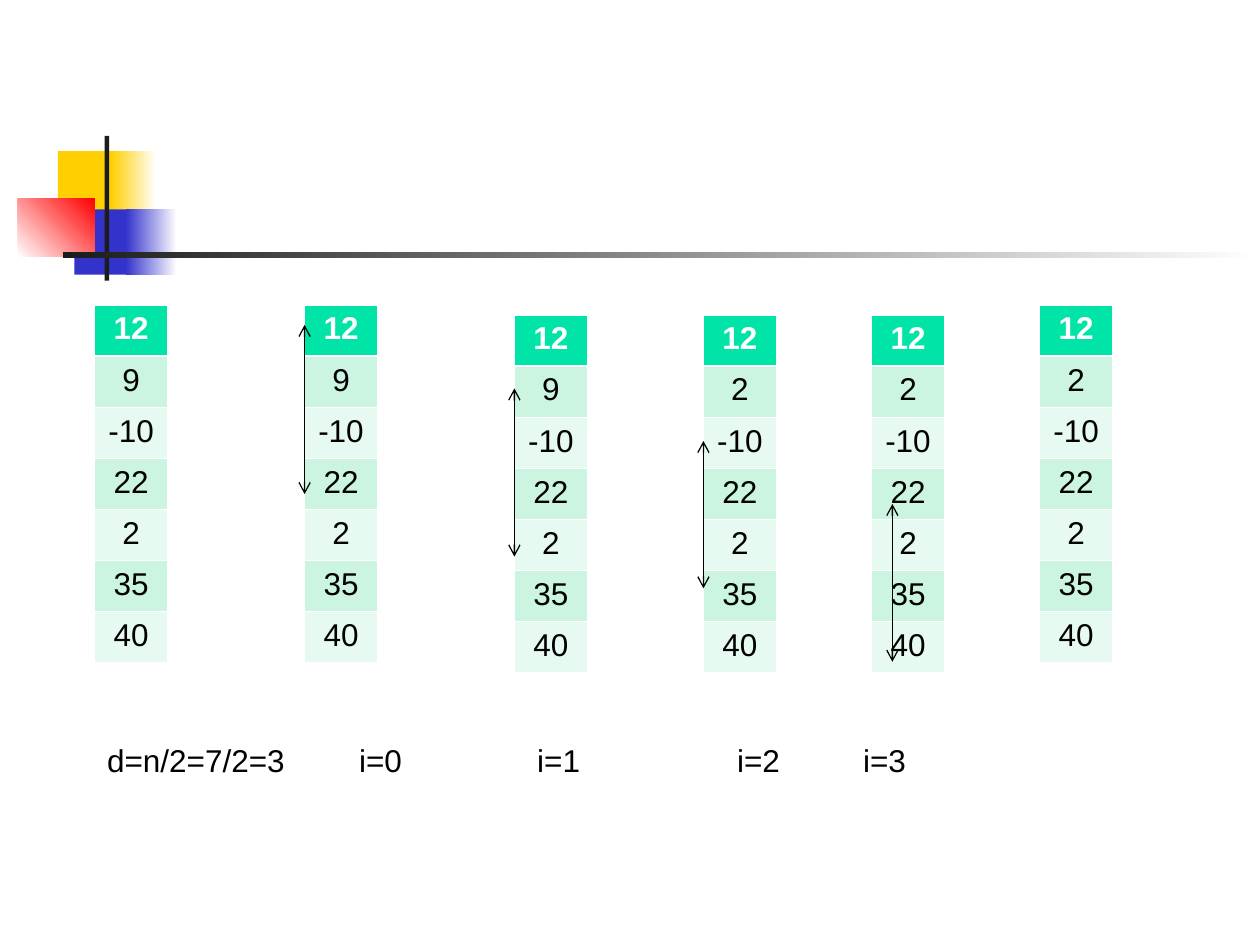
"""Build the slide that traces one pass of a Shell sort with gap three."""
from pptx import Presentation
from pptx import util as u
from pptx.dml.color import RGBColor
from pptx.enum import shapes, text
from pptx.oxml.ns import qn
from lxml import etree

FONT = "Arial"
BLACK, WHITE, DARK = "000000", "FFFFFF", "1C1C1C"
YELLOW, BLUE, RED = "FFCF01", "3333CC", "FF0000"
HEADER, BANDS = "00E4A8", ("CBF5E1", "E7FAF1")
BEFORE_SWAP = ("12", "9", "-10", "22", "2", "35", "40")
AFTER_SWAP = ("12", "2", "-10", "22", "2", "35", "40")
HIGH, LOW = 6.15, 6.35
COLUMN_WIDTH, ROW_HEIGHT = 1.47, 1.03

DECORATION = (
    (1.17, 3.05, 1.22, 1.32, (YELLOW,), 0),
    (2.24, 3.05, 0.91, 1.32, (YELLOW, WHITE), 0),
    (1.5, 4.22, 1.17, 1.32, (BLUE,), 0),
    (2.54, 4.22, 1.02, 1.32, (BLUE, WHITE), 0),
    (0.36, 4.01, 1.55, 1.17, (WHITE, RED), 45),
    (2.11, 2.74, 0.09, 2.92, (DARK,), 0),
    (1.27, 5.08, 24.13, 0.13, (DARK, WHITE), 0),
)
ARRAYS = (
    (1.91, HIGH, BEFORE_SWAP),
    (6.14, HIGH, BEFORE_SWAP),
    (10.37, LOW, BEFORE_SWAP),
    (14.18, LOW, AFTER_SWAP),
    (17.57, LOW, AFTER_SWAP),
    (20.96, HIGH, AFTER_SWAP),
)
COMPARISONS = (
    (6.14, 6.55, 9.96),
    (10.37, 7.83, 11.22),
    (14.18, 8.89, 11.86),
    (17.99, 10.16, 13.34),
)
STEP_LABELS = "d=n/2=7/2=3\ti=0\ti=1\ti=2\ti=3"
STEP_TABS = (5.08, 8.67, 12.7, 15.24)


def rgb(value):
    """Return the colour for a hex string."""
    return RGBColor.from_string(value)


def style_text(paragraph, colour, bold=False):
    """Apply the common font to a paragraph."""
    font_format = {"name": FONT, "size": u.Pt(18), "bold": bold}
    for run in paragraph.runs:
        for name, value in font_format.items():
            setattr(run.font, name, value)
        run.font.color.rgb = rgb(colour)


def add_block(slide, left, top, width, height, colours, angle):
    """Add a borderless rectangle with a plain or gradient fill."""
    shape = slide.shapes.add_shape(
        shapes.MSO_SHAPE.RECTANGLE, *map(u.Cm, (left, top, width, height)))
    shape.shadow.inherit = False
    shape.line.fill.background()
    if len(colours) == 1:
        shape.fill.solid()
        shape.fill.fore_color.rgb = rgb(colours[0])
    else:
        shape.fill.gradient()
        shape.fill.gradient_angle = angle
        for stop, colour in zip(shape.fill.gradient_stops, colours):
            stop.color.rgb = rgb(colour)


def add_borders(cell, widths):
    """Draw white cell borders from widths in points keyed by side."""
    properties = cell._tc.get_or_add_tcPr()
    for side, width in widths.items():
        line = etree.SubElement(
            properties, qn(f"a:ln{side}"), w=str(u.Pt(width)))
        fill = etree.SubElement(line, qn("a:solidFill"))
        etree.SubElement(fill, qn("a:srgbClr"), val=WHITE)


def add_array(slide, left, top, values):
    """Add a one-column table that shows the state of the array."""
    table = slide.shapes.add_table(
        len(values), 1, u.Cm(left), u.Cm(top), u.Cm(COLUMN_WIDTH),
        u.Cm(ROW_HEIGHT * len(values))).table
    for index, value in enumerate(values):
        table.rows[index].height = u.Cm(ROW_HEIGHT)
        cell = table.cell(index, 0)
        is_header = index == 0
        add_borders(cell, {"L": 0.45, "R": 0.45,
                           "T": 1.47 if index == 1 else 0.45,
                           "B": 1.47 if is_header else 0.45})
        cell.fill.solid()
        cell.fill.fore_color.rgb = rgb(
            HEADER if is_header else BANDS[(index - 1) % 2])
        cell.text = value
        paragraph = cell.text_frame.paragraphs[0]
        paragraph.alignment = text.PP_ALIGN.CENTER
        style_text(paragraph, WHITE if is_header else BLACK, is_header)


def add_comparison(slide, x, top, bottom):
    """Add a two-headed arrow between the compared elements."""
    connector = slide.shapes.add_connector(
        shapes.MSO_CONNECTOR.STRAIGHT,
        *map(u.Cm, (x, top, x, bottom)))
    connector.line.width = u.Pt(0.75)
    connector.line.color.rgb = rgb(BLACK)
    properties = connector._element.spPr
    line = properties.find(qn("a:ln"))
    for end in ("headEnd", "tailEnd"):
        etree.SubElement(line, qn(f"a:{end}"), type="arrow")
    etree.SubElement(properties, qn("a:effectLst"))


def add_step_labels(slide, left, top, width, height):
    """Add the line of step labels, spaced by tab stops."""
    frame = slide.shapes.add_textbox(
        *map(u.Cm, (left, top, width, height))).text_frame
    frame.word_wrap = True
    paragraph = frame.paragraphs[0]
    paragraph.text = STEP_LABELS
    style_text(paragraph, BLACK)
    tabs = etree.SubElement(
        paragraph._p.get_or_add_pPr(), qn("a:tabLst"))
    for position in STEP_TABS:
        etree.SubElement(
            tabs, qn("a:tab"), pos=str(u.Cm(position)), algn="l")


def main():
    """Build and save the presentation."""
    presentation = Presentation()
    presentation.slide_width = u.Cm(25.4)
    presentation.slide_height = u.Cm(19.05)
    slide = presentation.slides.add_slide(presentation.slide_layouts[6])
    for block in DECORATION:
        add_block(slide, *block)
    for array in ARRAYS:
        add_array(slide, *array)
    for comparison in COMPARISONS:
        add_comparison(slide, *comparison)
    add_step_labels(slide, 1.91, 14.82, 20.96, 1.02)
    presentation.save("out.pptx")


if __name__ == "__main__":
    main()
